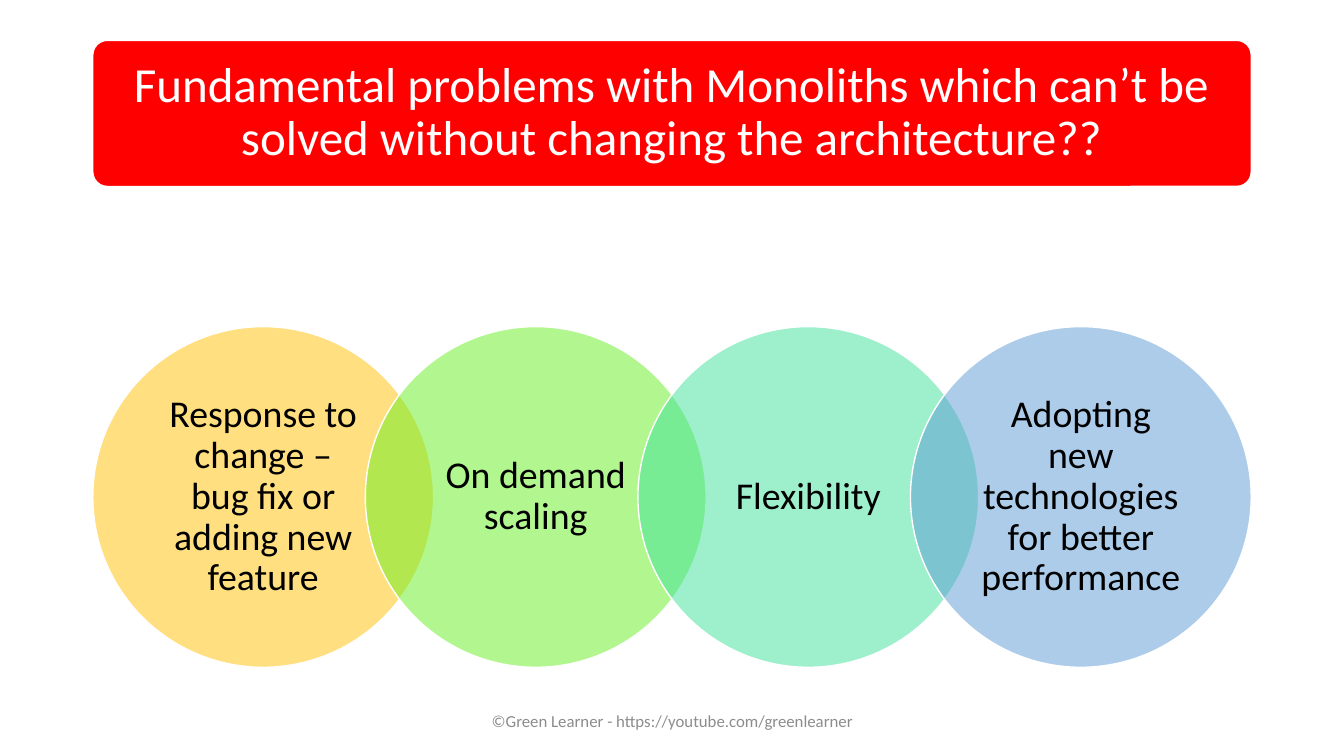
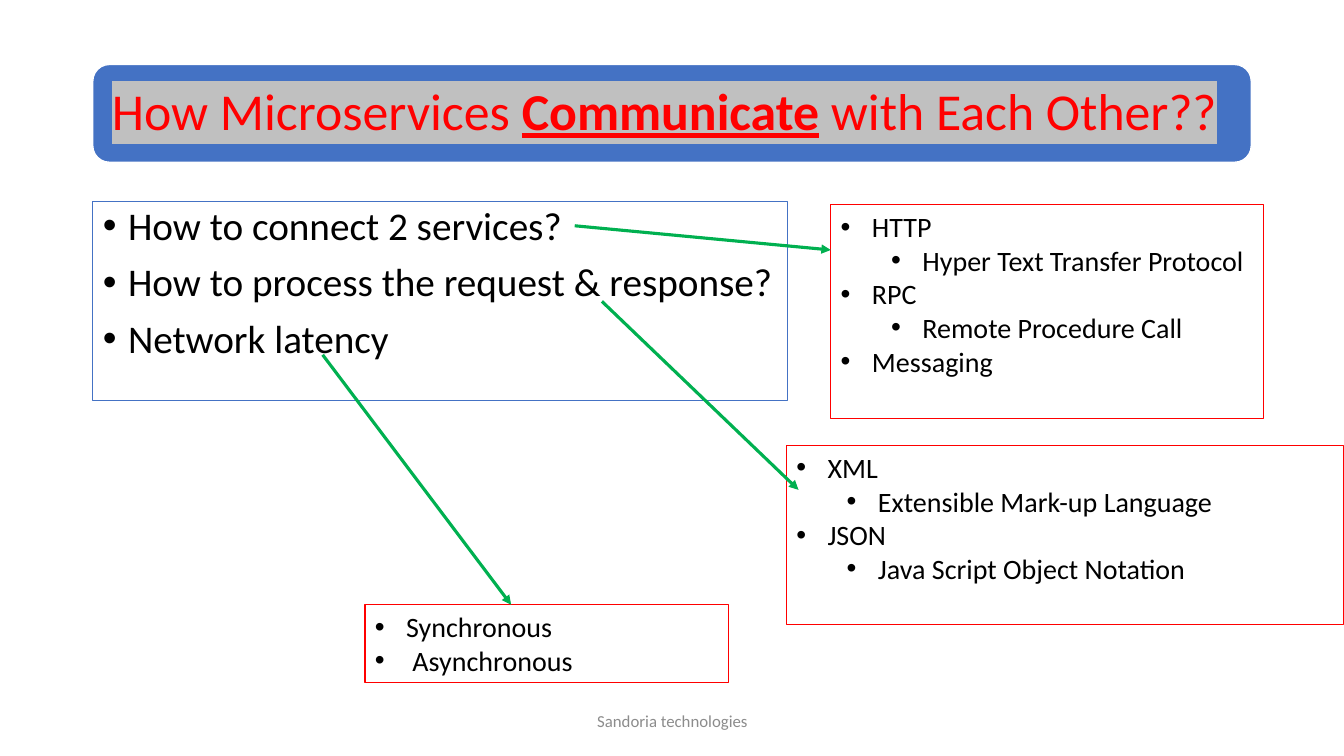
from dataclasses import dataclass
from typing import Optional, Sequence

from lxml.etree import SubElement
from pptx import Presentation
from pptx.dml.color import RGBColor
from pptx.enum.shapes import MSO_CONNECTOR, MSO_SHAPE
from pptx.enum.text import MSO_ANCHOR, MSO_AUTO_SIZE, PP_ALIGN
from pptx.oxml.ns import qn
from pptx.util import Inches, Pt

FONT = "Calibri"
RED, BLUE, GREEN = "FF0000", "4472C4", "00B050"
WHITE, BLACK, GRAY, SILVER = "FFFFFF", "000000", "8C8C8C", "C0C0C0"
LEFT, CONTENT_WIDTH = 0.92, 11.49
TITLE_ONLY, TITLE_AND_CONTENT = 5, 1


@dataclass(frozen=True)
class Box:
    left: float
    top: float
    width: float
    height: float

    def lengths(self):
        return [Inches(n) for n in (self.left, self.top, self.width, self.height)]

    def inset(self, margin: float) -> "Box":
        return Box(self.left + margin, self.top + margin,
                   self.width - 2 * margin, self.height - 2 * margin)


@dataclass(frozen=True)
class Span:
    text: str
    strong: bool = False


@dataclass(frozen=True)
class Item:
    text: str
    level: int = 0


@dataclass(frozen=True)
class Circle:
    text: str
    color: str


@dataclass(frozen=True)
class AnswerBox:
    box: Box
    items: Sequence[Item]


@dataclass(frozen=True)
class Arrow:
    start: tuple[float, float]
    end: tuple[float, float]


CIRCLES = [
    Circle("Response to change – bug fix or adding new feature", "FFC000"),
    Circle("On demand scaling", "67EF21"),
    Circle("Flexibility", "3FE19B"),
    Circle("Adopting new technologies for better performance", "5B9BD5"),
]
QUESTIONS = [
    Item("How to connect 2 services?"),
    Item("How to process the request & response?"),
    Item("Network latency"),
]
ANSWERS = [
    AnswerBox(Box(8.24, 2.03, 4.29, 2.12), [
        Item("HTTP"), Item("Hyper Text Transfer Protocol", 1),
        Item("RPC"), Item("Remote Procedure Call", 1),
        Item("Messaging")]),
    AnswerBox(Box(7.8, 4.42, 5.53, 1.78), [
        Item("XML"), Item("Extensible Mark-up Language", 1),
        Item("JSON"), Item("Java Script Object Notation", 1)]),
    AnswerBox(Box(3.62, 6, 3.61, 0.77), [
        Item("Synchronous"), Item(" Asynchronous")]),
]
ARROWS = [
    Arrow((5.7, 2.24), (8.24, 2.48)),
    Arrow((5.97, 2.99), (7.92, 4.86)),
    Arrow((3.2, 3.52), (5.07, 6)),
]


def rgb(color: str) -> RGBColor:
    return RGBColor.from_string(color)


def place(shape, box: Box) -> None:
    shape.left, shape.top, shape.width, shape.height = box.lengths()


def set_outline(shape, color: str, width: float) -> None:
    shape.line.color.rgb = rgb(color)
    shape.line.width = Pt(width)


def set_frame(frame, *, anchor=MSO_ANCHOR.TOP, horizontal: float = 0.1,
              vertical: float = 0.05) -> None:
    frame.word_wrap = True
    frame.auto_size = MSO_AUTO_SIZE.NONE
    frame.vertical_anchor = anchor
    frame.margin_left = frame.margin_right = Inches(horizontal)
    frame.margin_top = frame.margin_bottom = Inches(vertical)


def write_text(paragraph, text: str, *, size: float, color: str = BLACK,
               strong: bool = False, highlight: Optional[str] = None,
               align=PP_ALIGN.LEFT, line_spacing: float = 1.0,
               space_before: float = 0) -> None:
    """Append one run to the paragraph; strong means bold and underlined."""
    paragraph.alignment = align
    paragraph.line_spacing = line_spacing
    paragraph.space_before = Pt(space_before)
    run = paragraph.add_run()
    run.text = text
    font = run.font
    font.name, font.size = FONT, Pt(size)
    font.bold = font.underline = strong
    font.color.rgb = rgb(color)
    if highlight:
        properties = font.color.rgb and run._r.get_or_add_rPr()
        mark = SubElement(properties, qn("a:highlight"))
        SubElement(mark, qn("a:srgbClr"), val=highlight)
        properties.find(qn("a:solidFill")).addnext(mark)


def set_bullet(paragraph, left: float, hanging: float) -> None:
    properties = paragraph._p.get_or_add_pPr()
    properties.set("marL", str(Inches(left)))
    properties.set("indent", str(-Inches(hanging)))
    SubElement(properties, qn("a:buFont"), typeface="Arial")
    SubElement(properties, qn("a:buChar"), char="•")


def write_list(frame, items: Sequence[Item], *, size: float, hanging: float,
               line_spacing: float = 1.0, gap: float = 0) -> None:
    for index, item in enumerate(items):
        paragraph = frame.add_paragraph() if index else frame.paragraphs[0]
        paragraph.level = item.level
        set_bullet(paragraph, hanging + 0.5 * item.level, hanging)
        write_text(paragraph, item.text, size=size, line_spacing=line_spacing,
                   space_before=gap if index else 0)


def add_filled_shape(slide, kind, box: Box, fill: str, opacity: int = 100):
    shape = slide.shapes.add_shape(kind, *box.lengths())
    shape.shadow.inherit = False
    shape.fill.solid()
    shape.fill.fore_color.rgb = rgb(fill)
    if opacity < 100:
        color = shape.element.spPr.find(f"{qn('a:solidFill')}/{qn('a:srgbClr')}")
        SubElement(color, qn("a:alpha"), val=str(opacity * 1000))
    set_outline(shape, WHITE, 1)
    return shape


def add_title(slide, box: Box, spans: Sequence[Span], *, fill: str,
              corner: float, **text_format) -> None:
    """Set the title placeholder over a rounded band."""
    title = slide.shapes.title
    band = add_filled_shape(slide, MSO_SHAPE.ROUNDED_RECTANGLE, box, fill)
    band.adjustments[0] = corner
    title.element.addprevious(band.element)
    place(title, box.inset(0.04))
    set_frame(title.text_frame, anchor=MSO_ANCHOR.MIDDLE,
              horizontal=0.15, vertical=0.15)
    for span in spans:
        write_text(title.text_frame.paragraphs[0], span.text,
                   strong=span.strong, line_spacing=0.9, **text_format)


def add_footer(slide, text: str) -> None:
    footer = slide.shapes.add_textbox(*Box(4.42, 6.95, 4.5, 0.4).lengths())
    set_frame(footer.text_frame, anchor=MSO_ANCHOR.MIDDLE)
    write_text(footer.text_frame.paragraphs[0], text, size=12, color=GRAY,
               align=PP_ALIGN.CENTER)


def add_circle(slide, circle: Circle, box: Box) -> None:
    shape = add_filled_shape(slide, MSO_SHAPE.OVAL, box, circle.color, opacity=50)
    set_frame(shape.text_frame, anchor=MSO_ANCHOR.MIDDLE,
              horizontal=0.19, vertical=0.04)
    write_text(shape.text_frame.paragraphs[0], circle.text, size=27,
               align=PP_ALIGN.CENTER, line_spacing=0.9)


def add_answer(slide, answer: AnswerBox) -> None:
    shape = slide.shapes.add_textbox(*answer.box.lengths())
    set_outline(shape, RED, 0.75)
    set_frame(shape.text_frame)
    write_list(shape.text_frame, answer.items, size=20, hanging=0.31)


def add_arrow(slide, arrow: Arrow) -> None:
    ends = [Inches(n) for n in (*arrow.start, *arrow.end)]
    connector = slide.shapes.add_connector(MSO_CONNECTOR.STRAIGHT, *ends)
    set_outline(connector, GREEN, 2.25)
    SubElement(connector.line._get_or_add_ln(), qn("a:tailEnd"), type="triangle")
    SubElement(connector.element.spPr, qn("a:effectLst"))


def build_problems_slide(presentation) -> None:
    slide = presentation.slides.add_slide(presentation.slide_layouts[TITLE_ONLY])
    title = ("Fundamental problems with Monoliths which can’t be solved "
             "without changing the architecture??")
    add_title(slide, Box(LEFT, 0.4, CONTENT_WIDTH, 1.45), [Span(title)], fill=RED,
              corner=0.1, size=35, color=WHITE, align=PP_ALIGN.CENTER)
    diameter = 3.38
    step = (CONTENT_WIDTH - diameter) / (len(CIRCLES) - 1)
    for index, circle in enumerate(CIRCLES):
        add_circle(slide, circle,
                   Box(LEFT + index * step, 3.24, diameter, diameter))
    add_footer(slide, "©Green Learner - https://youtube.com/greenlearner")


def build_communication_slide(presentation) -> None:
    slide = presentation.slides.add_slide(
        presentation.slide_layouts[TITLE_AND_CONTENT])
    spans = [Span("How Microservices "), Span("Communicate", strong=True),
             Span(" with Each Other??")]
    add_title(slide, Box(LEFT, 0.64, CONTENT_WIDTH, 0.97), spans, fill=BLUE,
              corner=0.17, size=37, color=RED, highlight=SILVER)
    body = slide.placeholders[1]
    place(body, Box(LEFT, 2, 6.89, 1.97))
    set_outline(body, BLUE, 0.75)
    set_frame(body.text_frame)
    write_list(body.text_frame, QUESTIONS, size=28, hanging=0.25,
               line_spacing=0.9, gap=10)
    add_footer(slide, "Sandoria technologies")
    for answer in ANSWERS:
        add_answer(slide, answer)
    for arrow in ARROWS:
        add_arrow(slide, arrow)


def main() -> None:
    presentation = Presentation()
    presentation.slide_width = Inches(13.33)
    presentation.slide_height = Inches(7.5)
    build_problems_slide(presentation)
    build_communication_slide(presentation)
    presentation.save("out.pptx")


if __name__ == "__main__":
    main()
